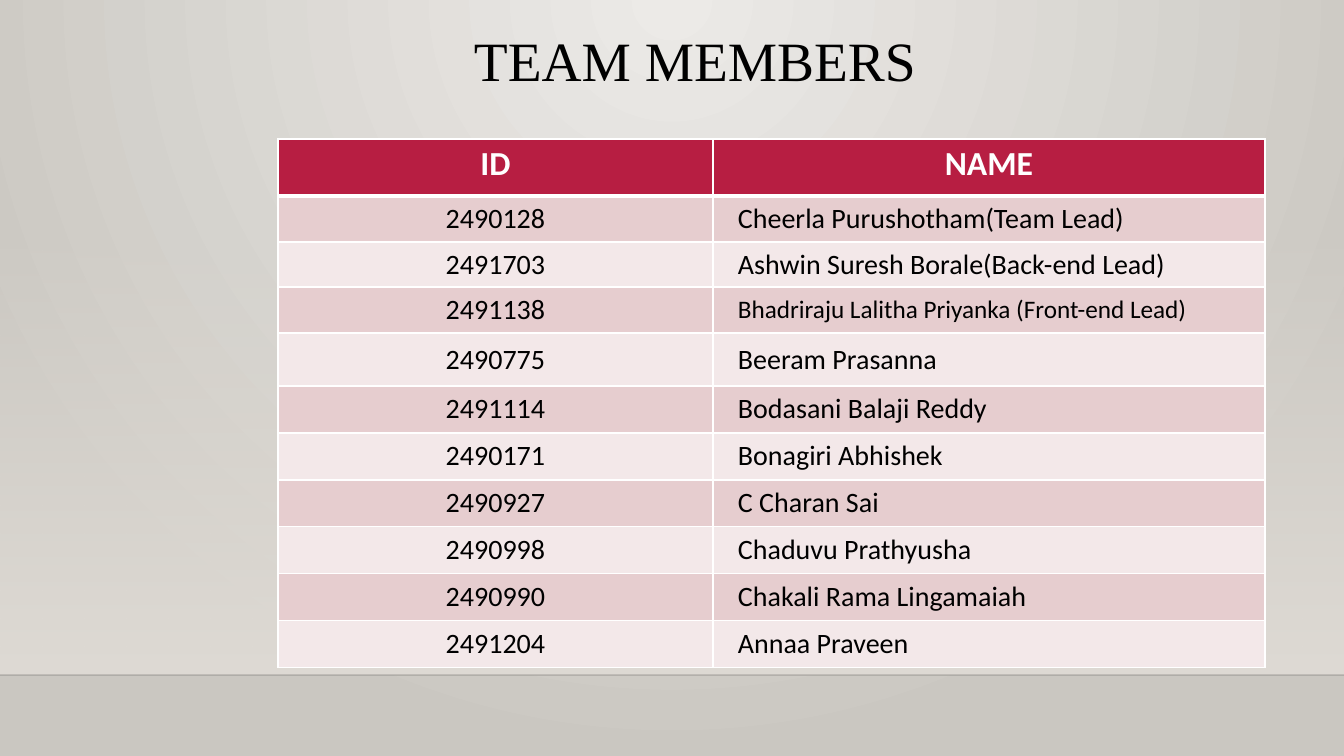
from lxml.etree import SubElement
from pptx import Presentation
from pptx.dml.color import RGBColor as Rgb
from pptx.enum.shapes import MSO_CONNECTOR as Link, MSO_SHAPE as Form
from pptx.enum.text import MSO_ANCHOR as Anchor, MSO_AUTO_SIZE as Fit, PP_ALIGN as Align
from pptx.oxml import parse_xml
from pptx.oxml.ns import nsdecls, qn
from pptx.util import Emu, Pt

TEAM = [
    ("2490128", "Cheerla Purushotham(Team Lead)"),
    ("2491703", "Ashwin Suresh Borale(Back-end Lead)"),
    ("2491138", "Bhadriraju Lalitha Priyanka (Front-end Lead)"),
    ("2490775", "Beeram Prasanna"),
    ("2491114", "Bodasani Balaji Reddy"),
    ("2490171", "Bonagiri Abhishek"),
    ("2490927", "C Charan Sai"),
    ("2490998", "Chaduvu Prathyusha"),
    ("2490990", "Chakali Rama Lingamaiah"),
    ("2491204", "Annaa Praveen"),
]
COLS = [435, 552]
ROWS = [57, 46, 45, 46, 53] + [47] * 6
BANDS = ["E6CDCF", "F3E8E9"]
RED, WHITE, BLACK = "B71E42", "FFFFFF", "000000"
RADIAL = '<a:path path="circle"><a:fillToRect l="43000" t="0" r="43000" b="100000"/></a:path>'
DOWN = '<a:lin ang="5400000" scaled="0"/>'


def px(num):
    return Emu(round(num * 914400 / 100.8))


def hue(code):
    return Rgb.from_string(code)


def blend(props, stops, way):
    marks = "".join(
        f'<a:gs pos="{pos * 1000}"><a:srgbClr val="{code}">'
        f'<a:alpha val="{alpha * 1000}"/></a:srgbClr></a:gs>'
        for pos, code, alpha in stops)
    old = props.find(qn("a:gradFill"))
    props.replace(old, parse_xml(
        f'<a:gradFill {nsdecls("a")} rotWithShape="1"><a:gsLst>{marks}</a:gsLst>{way}</a:gradFill>'))


class Deck:
    """Draws styled elements on one slide."""

    def __init__(self):
        self.prs = Presentation()
        self.prs.slide_width, self.prs.slide_height = px(1344), px(756)
        self.slide = self.prs.slides.add_slide(self.prs.slide_layouts[5])
        self.shapes = self.slide.shapes
        self.font = "Calibri"

    def style(self, para, size, code, align, font=None, bold=False):
        para.alignment = align
        for run in para.runs:
            run.font.name = font or self.font
            run.font.size, run.font.bold = Pt(size), bold
            run.font.color.rgb = hue(code)

    def paint(self, stops):
        self.slide.background.fill.gradient()
        props = self.slide.element.find(".//" + qn("p:bgPr"))
        blend(props, stops, RADIAL)

    def wall(self, left, top, width, height, stops):
        box = self.shapes.add_shape(Form.RECTANGLE, px(left), px(top), px(width), px(height))
        box.shadow.inherit = False
        box.line.fill.background()
        box.fill.gradient()
        blend(box.element.spPr, stops, DOWN)

    def line(self, left, top, right, code, alpha):
        rule = self.shapes.add_connector(Link.STRAIGHT, px(left), px(top), px(right), px(top))
        rule.line.width = Pt(1)
        rule.line.color.rgb = hue(code)
        props = rule.element.spPr
        tint = props.find(".//" + qn("a:srgbClr"))
        SubElement(tint, qn("a:alpha"), val=str(alpha * 1000))
        SubElement(props, qn("a:effectLst"))

    def title(self, text, left, top, width, height):
        head = self.shapes.title
        head.left, head.top, head.width, head.height = map(px, (left, top, width, height))
        frame = head.text_frame
        frame.text = text
        frame.word_wrap, frame.auto_size = True, Fit.NONE
        frame.vertical_anchor = Anchor.MIDDLE
        para = frame.paragraphs[0]
        para.line_spacing = 0.9
        self.style(para, 39.6, BLACK, Align.CENTER, "Times New Roman")

    def edge(self, cell, base):
        props = cell._tc.get_or_add_tcPr()
        for side, width in (("L", 1), ("R", 1), ("T", 1), ("B", base)):
            props.append(parse_xml(
                f'<a:ln{side} {nsdecls("a")} w="{Pt(width)}"><a:solidFill>'
                f'<a:srgbClr val="{WHITE}"/></a:solidFill></a:ln{side}>'))

    def cell(self, cell, text, fill, size, code, align, pad=7, head=False):
        self.edge(cell, 3 if head else 1)
        cell.fill.solid()
        cell.fill.fore_color.rgb = hue(fill)
        cell.text = text
        if not head:
            cell.vertical_anchor = Anchor.MIDDLE
            cell.margin_left, cell.margin_right = px(pad), px(7)
            cell.margin_top = cell.margin_bottom = 0
        self.style(cell.text_frame.paragraphs[0], size, code, align, bold=head)

    def table(self, left, top):
        grid = self.shapes.add_table(len(ROWS), len(COLS), px(left), px(top),
                                     px(sum(COLS)), px(sum(ROWS))).table
        grid.first_row = grid.horz_banding = False
        for col, width in zip(grid.columns, COLS):
            col.width = px(width)
        for row, height in zip(grid.rows, ROWS):
            row.height = px(height)
        for col, text in enumerate(("ID", "NAME")):
            self.cell(grid.cell(0, col), text, RED, 24, WHITE, Align.CENTER, head=True)
        for row, (code, name) in enumerate(TEAM, 1):
            fill = BANDS[(row - 1) % 2]
            size = 18 if len(name) > 40 else 20
            self.cell(grid.cell(row, 0), code, fill, 20, BLACK, Align.CENTER)
            self.cell(grid.cell(row, 1), name, fill, size, BLACK, Align.LEFT, pad=25)


def main():
    deck = Deck()
    deck.paint([(0, "ECEAE7", 100), (100, "CAC7C1", 100)])
    deck.wall(0, 223, 1344, 452, [(0, "DFDBD5", 0), (100, "DFDBD5", 100)])
    deck.line(0, 675, 1344, "000001", 20)
    deck.title("TEAM MEMBERS", 341, 32, 708, 63)
    deck.table(278, 139)
    deck.prs.save("out.pptx")


if __name__ == "__main__":
    main()
